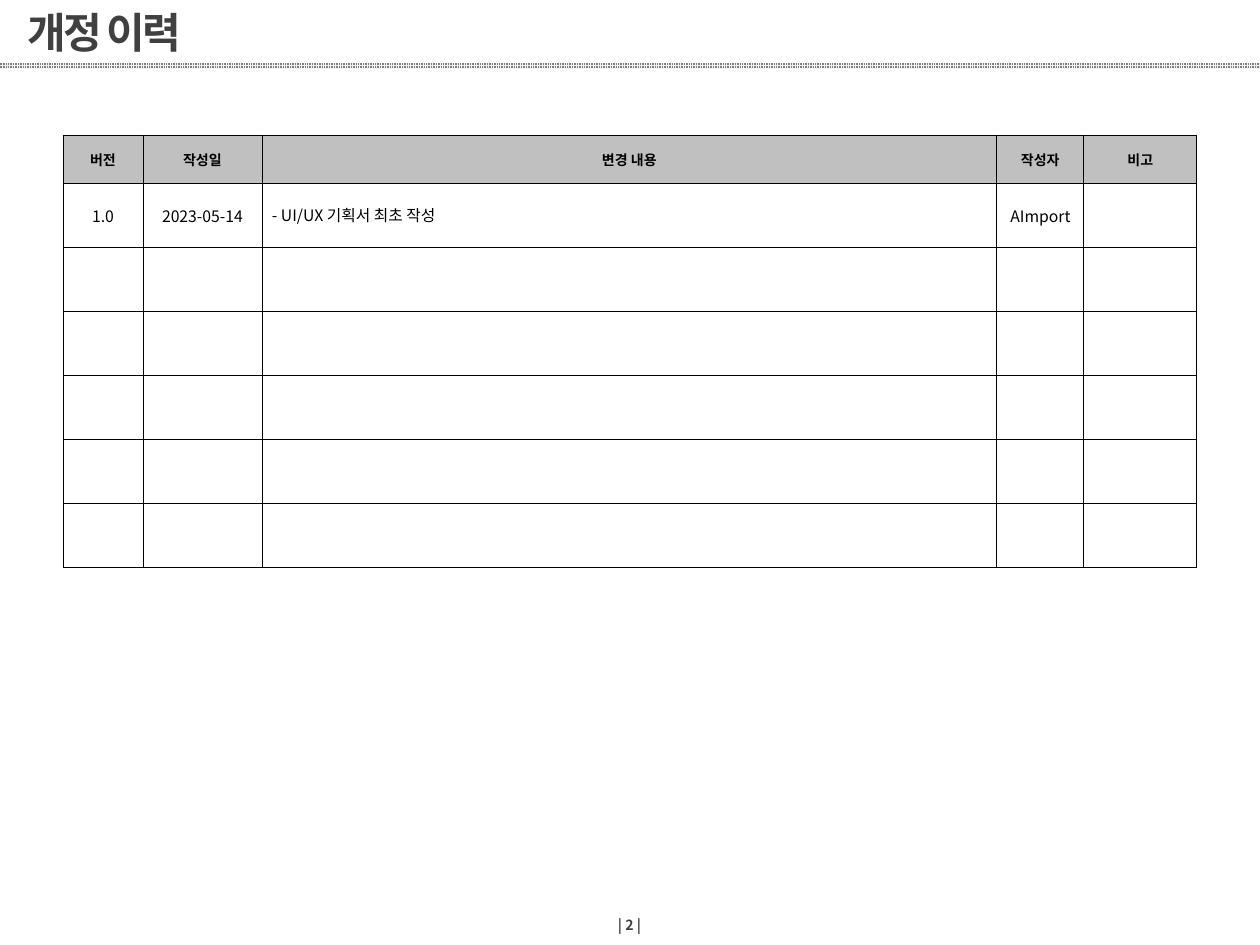
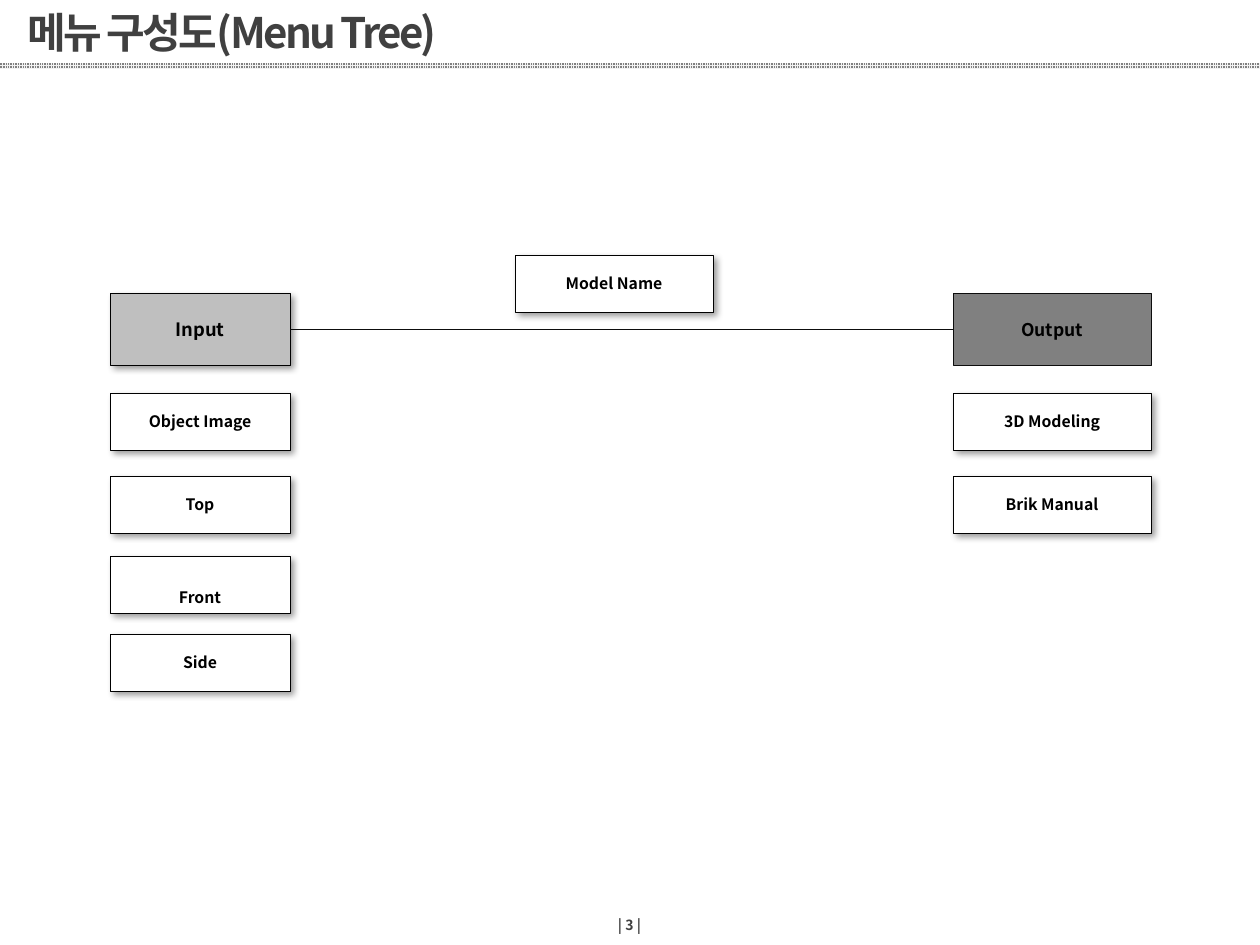
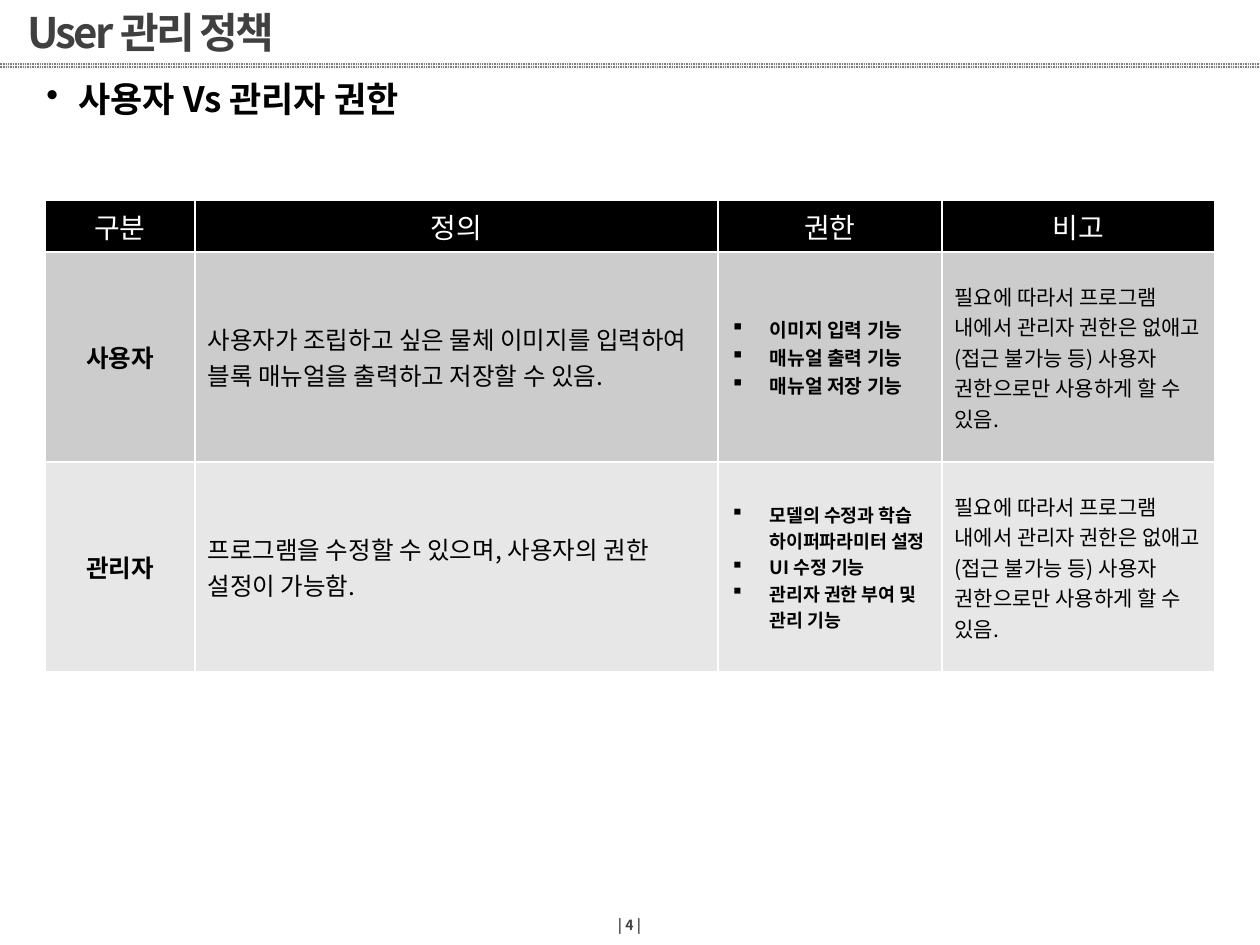
from lxml.etree import SubElement
from pptx import Presentation
from pptx.dml.color import RGBColor
from pptx.enum.dml import MSO_PATTERN
from pptx.enum.shapes import MSO_CONNECTOR, MSO_SHAPE
from pptx.enum.text import MSO_ANCHOR, PP_ALIGN
from pptx.oxml.ns import qn
from pptx.util import Emu, Pt

FONT = "Noto Sans CJK KR"
BLACK = RGBColor(0, 0, 0)
WHITE = RGBColor(255, 255, 255)
INK = RGBColor(0x40, 0x40, 0x40)
EDGE = RGBColor(0x0D, 0x0D, 0x0D)
GRAY = RGBColor(0x80, 0x80, 0x80)
PALE = RGBColor(0xF2, 0xF2, 0xF2)
SILVER = RGBColor(0xBF, 0xBF, 0xBF)
HEAD = RGBColor(0xC0, 0xC0, 0xC0)
BANDS = [RGBColor(0xCC, 0xCC, 0xCC), RGBColor(0xE7, 0xE7, 0xE7)]
SIZE = (1260, 945)
LEFT, CENTER = PP_ALIGN.LEFT, PP_ALIGN.CENTER


def px(n):
    """Turn pixels into EMU."""
    return Emu(round(n * 914400 / 126))


def place(box):
    """Turn a pixel box into EMU lengths."""
    return [px(n) for n in box]


def write(par, text, size, color=BLACK, bold=False, align=LEFT, gap=None, track=0):
    """Add one styled run to a paragraph."""
    par.alignment = align
    if gap:
        par.line_spacing = gap
    run = par.add_run()
    run.text = text
    font = run.font
    font.name, font.size, font.bold = FONT, Pt(size), bold
    font.color.rgb = color
    props = font._element
    SubElement(props, qn("a:ea"), typeface=FONT)
    if track:
        props.set("spc", str(track))


def bullet(par, mark, indent):
    """Give a paragraph a bullet with a hanging indent."""
    props = par._p.get_or_add_pPr()
    props.set("marL", str(px(indent)))
    props.set("indent", str(-px(indent)))
    SubElement(props, qn("a:buChar"), char=mark)


def label(slide, box, text, size, anchor=MSO_ANCHOR.MIDDLE, **style):
    """Add a text box and return its paragraph."""
    frame = slide.shapes.add_textbox(*place(box)).text_frame
    frame.word_wrap = True
    frame.vertical_anchor = anchor
    write(frame.paragraphs[0], text, size, **style)
    return frame.paragraphs[0]


def page(deck, title, number):
    """Add a slide with title, band and page number."""
    slide = deck.slides.add_slide(deck.slide_layouts[6])
    band = slide.shapes.add_shape(MSO_SHAPE.RECTANGLE, *place((0, 63, SIZE[0], 6)))
    band.shadow.inherit = False
    band.line.fill.background()
    band.fill.patterned()
    band.fill.pattern = MSO_PATTERN.SMALL_GRID
    band.fill.fore_color.rgb = PALE
    band.fill.back_color.rgb = GRAY
    label(slide, (15, 6, 1062, 57), title, 24, color=INK, bold=True, gap=0.9, track=-150)
    label(slide, (581, 907, 97, 35), f"| {number} |", 8, color=INK, bold=True, align=CENTER)
    return slide


def grid(slide, spot, cols, rows):
    """Add a plain table with the given column and row sizes."""
    box = (*spot, sum(cols), sum(rows))
    table = slide.shapes.add_table(len(rows), len(cols), *place(box)).table
    table.first_row = table.horz_banding = False
    for col, width in zip(table.columns, cols):
        col.width = px(width)
    for row, height in zip(table.rows, rows):
        row.height = px(height)
    return table


def dress(cell, fill, edge, weight):
    """Set borders, fill and anchor of a cell."""
    props = cell._tc.get_or_add_tcPr()
    for side in ("lnL", "lnR", "lnT", "lnB"):
        line = SubElement(props, qn(f"a:{side}"), w=str(Pt(weight)))
        paint = SubElement(line, qn("a:solidFill"))
        SubElement(paint, qn("a:srgbClr"), val=str(edge))
    if fill is None:
        cell.fill.background()
    else:
        cell.fill.solid()
        cell.fill.fore_color.rgb = fill
    cell.vertical_anchor = MSO_ANCHOR.MIDDLE


def inset(cell, left, top, right, bottom):
    """Set the margins of a cell."""
    cell.margin_left, cell.margin_top = px(left), px(top)
    cell.margin_right, cell.margin_bottom = px(right), px(bottom)


def history(slide, spot):
    """Draw the revision table."""
    heads = ["버전", "작성일", "변경 내용", "작성자", "비고"]
    first = ["1.0", "2023-05-14", "- UI/UX 기획서 최초 작성", "AImport", ""]
    table = grid(slide, spot, [80, 119, 735, 87, 113], [48] + [64] * 6)
    for cell in table.iter_cells():
        dress(cell, None, BLACK, 0.5)
    for c, (head, text) in enumerate(zip(heads, first)):
        top, cell = table.cell(0, c), table.cell(1, c)
        top.fill.solid()
        top.fill.fore_color.rgb = HEAD
        inset(top, 1, 1, 1, 0)
        write(top.text_frame.paragraphs[0], head, 8, bold=True, align=CENTER)
        note = c == 2
        inset(cell, *((10, 3, 8, 3) if note else (1, 1, 1, 0)))
        if text:
            align = LEFT if note else CENTER
            write(cell.text_frame.paragraphs[0], text, 9, align=align)


def node(slide, box, text, size=9, fill=WHITE, edge=BLACK, shade=True,
         anchor=MSO_ANCHOR.MIDDLE, gap=None):
    """Draw one box of the menu tree."""
    shape = slide.shapes.add_shape(MSO_SHAPE.FLOWCHART_PROCESS, *place(box))
    shape.fill.solid()
    shape.fill.fore_color.rgb = fill
    shape.line.color.rgb = edge
    shape.line.width = Pt(0.25)
    shape.shadow.inherit = False
    if shade:
        effects = shape._element.spPr.find(qn("a:effectLst"))
        cast = SubElement(effects, qn("a:outerShdw"), blurRad=str(Pt(4)),
                          dist=str(Pt(3)), dir="2700000", algn="tl", rotWithShape="0")
        tint = SubElement(cast, qn("a:srgbClr"), val=str(BLACK))
        SubElement(tint, qn("a:alpha"), val="40000")
    frame = shape.text_frame
    frame.vertical_anchor = anchor
    write(frame.paragraphs[0], text, size, bold=True, align=CENTER, gap=gap)
    return shape


def link(slide, start, end, source=None, target=None):
    """Draw a connector, joined at a left and a right side."""
    line = slide.shapes.add_connector(MSO_CONNECTOR.ELBOW, *place((*start, *end)))
    line.line.color.rgb = EDGE
    line.line.width = Pt(0.25)
    SubElement(line._element.spPr, qn("a:effectLst"))
    if source:
        line.begin_connect(source, 1)
    if target:
        line.end_connect(target, 3)


def tree(slide, box):
    """Draw the menu tree."""
    x, y, w, _ = box
    wide, slim, high = 198, 180, 57
    far, mid = x + w - wide, y + 74
    into = node(slide, (x, y + 38, slim, 72), "Input", 10.5, SILVER)
    out = node(slide, (far, y + 38, wide, 72), "Output", 10, GRAY, EDGE, False)
    half = (x + slim + far) // 2
    link(slide, (far, mid), (x + slim, mid), out, into)
    link(slide, (half, mid), (x + slim, mid), None, into)
    node(slide, (x + 405, y, wide, high), "Model Name")
    tops = [138, 221, 301, 379]
    for top, text in zip(tops, ["Object Image", "Top", "Front", "Side"]):
        low = {"anchor": MSO_ANCHOR.BOTTOM, "gap": 2.0} if text == "Front" else {}
        node(slide, (x, y + top, slim, high), text, **low)
    for top, text in zip(tops, ["3D Modeling", "Brik Manual"]):
        node(slide, (far, y + top, wide, high), text)


def policy(slide, spot):
    """Draw the table of user rights."""
    note = ("필요에 따라서 프로그램 내에서 관리자 권한은 없애고(접근 불가능 등) "
            "사용자 권한으로만 사용하게 할 수 있음.")
    roles = [
        ("사용자", "사용자가 조립하고 싶은 물체 이미지를 입력하여 블록 매뉴얼을 출력하고 저장할 수 있음.",
         11, ["이미지 입력 기능", "매뉴얼 출력 기능", "매뉴얼 저장 기능"]),
        ("관리자", "프로그램을 수정할 수 있으며, 사용자의 권한 설정이 가능함.",
         10.5, ["모델의 수정과 학습 하이퍼파라미터 설정", "UI 수정 기능", "관리자 권한 부여 및 관리 기능"]),
    ]
    table = grid(slide, spot, [150, 523, 224, 273], [52, 210, 210])
    for row, fill in zip(table.rows, [BLACK] + BANDS):
        for cell in row.cells:
            dress(cell, fill, WHITE, 1)
    for c, head in enumerate(["구분", "정의", "권한", "비고"]):
        write(table.cell(0, c).text_frame.paragraphs[0], head, 16, WHITE, align=CENTER)
    for r, (role, text, size, rights) in enumerate(roles, 1):
        name, about, can, more = [table.cell(r, c).text_frame for c in range(4)]
        write(name.paragraphs[0], role, 14, bold=True, align=CENTER)
        write(about.paragraphs[0], text, 14)
        write(more.paragraphs[0], note, 12)
        for i, right in enumerate(rights):
            par = can.add_paragraph() if i else can.paragraphs[0]
            write(par, right, size, bold=True)
            bullet(par, "▪", 39)


def main():
    """Build the deck."""
    deck = Presentation()
    deck.slide_width, deck.slide_height = place(SIZE)
    history(page(deck, "개정 이력", 2), (63, 135))
    tree(page(deck, "메뉴 구성도(Menu Tree)", 3), (110, 255, 1041, 436))
    slide = page(deck, "User 관리 정책", 4)
    par = label(slide, (34, 76, 1191, 59), "사용자 Vs 관리자 권한", 20,
                MSO_ANCHOR.TOP, bold=True, gap=0.9)
    par.space_before = Pt(10)
    bullet(par, "•", 32)
    policy(slide, (45, 200))
    deck.save("out.pptx")


if __name__ == "__main__":
    main()
